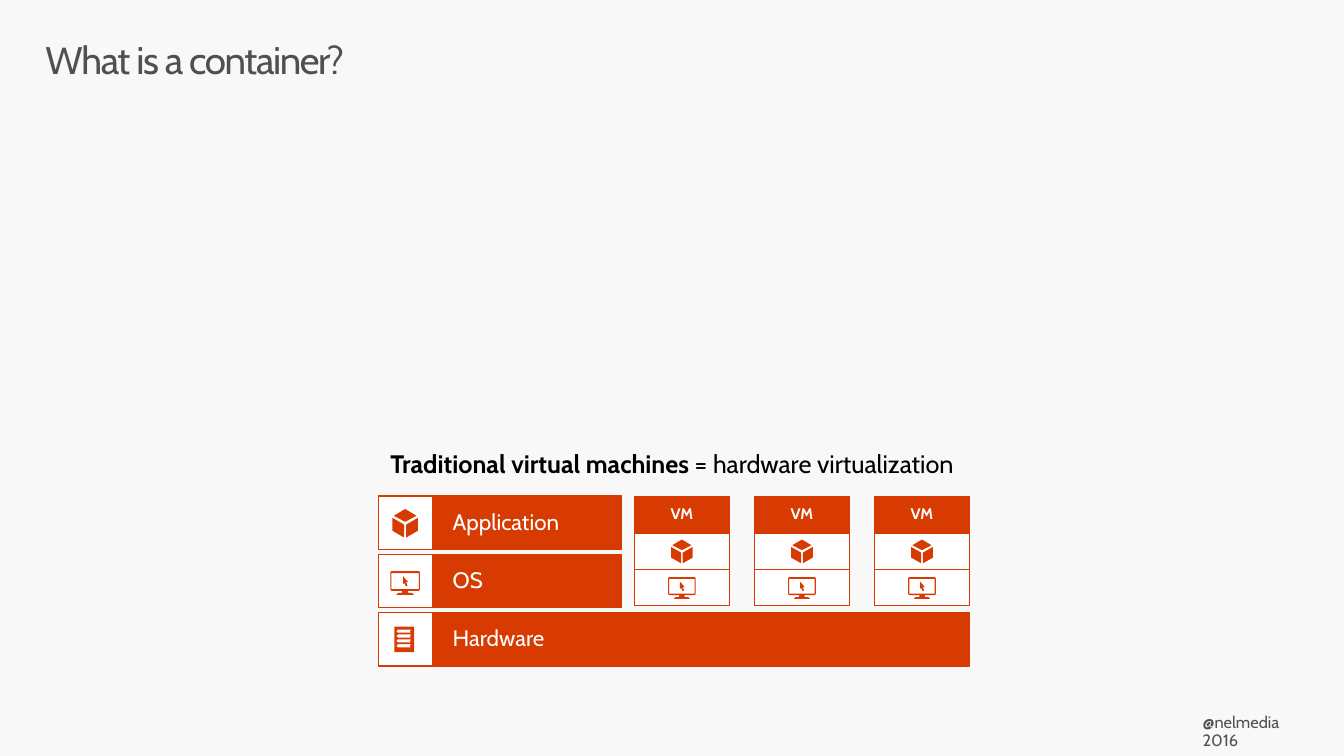
from pptx import Presentation
from pptx.dml.color import RGBColor
from pptx.enum.shapes import MSO_SHAPE
from pptx.enum.text import MSO_ANCHOR, MSO_AUTO_SIZE, PP_ALIGN
from pptx.util import Inches, Pt

RECTANGLE, ELLIPSE = MSO_SHAPE.RECTANGLE, MSO_SHAPE.OVAL
TOP, MIDDLE = MSO_ANCHOR.TOP, MSO_ANCHOR.MIDDLE
LEFT, CENTER = PP_ALIGN.LEFT, PP_ALIGN.CENTER
NO_AUTOFIT = MSO_AUTO_SIZE.NONE

WIDTH, HEIGHT = 13.6, 7.65
FONT = "Cabin"
COLORS = {
    "background": "F8F8F8",
    "accent": "D83B01",
    "white": "FFFFFF",
    "gray": "505050",
    "black": "000000",
}

CUBE_FACES = [
    [(0.46, 0.55), (0.46, 1), (0, 0.76), (0, 0.31)],
    [(0.54, 0.55), (0.54, 1), (1, 0.76), (1, 0.31)],
    [(0.5, 0.45), (0.06, 0.24), (0.5, 0), (0.94, 0.24)],
]
MONITOR_HALF = [(0.97, 0), (1, 0.06), (1, 0.77), (0.96, 0.83), (0.6, 0.83),
                (0.6, 0.92), (0.73, 0.92), (0.8, 1)]
MONITOR = MONITOR_HALF + [(1 - x, y) for x, y in reversed(MONITOR_HALF)]
SCREEN = [(0.04, 0.08), (0.96, 0.08), (0.96, 0.76), (0.04, 0.76)]
CURSOR = [(0.43, 0.21), (0.6, 0.46), (0.53, 0.46), (0.58, 0.62),
          (0.52, 0.64), (0.48, 0.5), (0.43, 0.54)]
SERVER = [(0, 0), (1, 0), (1, 1), (0, 1)]
SLOT = [(0.18, 0), (0.82, 0), (0.9, 0.06), (0.82, 0.12), (0.18, 0.12), (0.1, 0.06)]
SLOT_TOPS = [0.12 + 0.19 * row for row in range(4)]


def color(name):
    return RGBColor.from_string(COLORS[name])


def add_block(shapes, box, fill, outlined=True, kind=RECTANGLE):
    shape = shapes.add_shape(kind, *map(Inches, box))
    shape.shadow.inherit = False
    shape.fill.solid()
    shape.fill.fore_color.rgb = color(fill)
    if outlined:
        shape.line.color.rgb = color("accent")
        shape.line.width = Pt(0.85)
    else:
        shape.line.fill.background()
    return shape


def write(shape, texts, size, ink, margins, align=LEFT, anchor=TOP, bold=None):
    frame = shape.text_frame
    frame.word_wrap = True
    frame.auto_size = NO_AUTOFIT
    frame.vertical_anchor = anchor
    frame.margin_left = frame.margin_right = Inches(margins[0])
    frame.margin_top = frame.margin_bottom = Inches(margins[1])
    paragraph = frame.paragraphs[0]
    paragraph.alignment = align
    paragraph.line_spacing = 0.9
    for text in texts:
        paragraph.add_run().text = text
    font = paragraph.font
    font.name, font.size, font.bold = FONT, Pt(size), bold
    font.color.rgb = color(ink)
    return paragraph


def add_outline(shapes, box, contours):
    left, top, width, height = box
    placed = [[(Inches(left + x * width), Inches(top + y * height)) for x, y in contour]
              for contour in contours]
    builder = shapes.build_freeform(*placed[0][0], scale=1.0)
    builder.add_line_segments(placed[0][1:], close=True)
    for contour in placed[1:]:
        builder.move_to(*contour[0])
        builder.add_line_segments(contour[1:], close=True)
    shape = builder.convert_to_shape()
    shape.shadow.inherit = False
    shape.fill.solid()
    shape.fill.fore_color.rgb = color("accent")
    shape.line.fill.background()


def add_cube(shapes, box):
    for face in CUBE_FACES:
        add_outline(shapes, box, [face])


def add_monitor(shapes, box):
    add_outline(shapes, box, [MONITOR, SCREEN])
    add_outline(shapes, box, [CURSOR])


def add_server(shapes, box):
    left, top, width, height = box
    slots = [[(x, y + slot_top) for x, y in SLOT] for slot_top in SLOT_TOPS]
    add_outline(shapes, box, [SERVER] + slots)
    for slot_top in SLOT_TOPS:
        light = (left + 0.8 * width, top + (slot_top + 0.03) * height, 0.02, 0.02)
        add_block(shapes, light, "accent", False, ELLIPSE)


def add_layer(slide, box, label, add_icon, icon_box):
    left, top, width, height = box
    tile = 0.55
    bar = add_block(slide.shapes, (left + tile, top, width - tile, height), "accent")
    write(bar, [label], 16.3, "white", (0.2, 0.16), anchor=MIDDLE)
    shapes = slide.shapes.add_group_shape().shapes
    add_block(shapes, (left, top, tile, height), "white")
    x, y, icon_width, icon_height = icon_box
    add_icon(shapes, (left + x, top + y, icon_width, icon_height))


def add_virtual_machine(slide, box):
    left, top, width, height = box
    header = 0.38
    row = (height - header) / 2
    middle = left + width / 2
    shapes = slide.shapes.add_group_shape().shapes
    for index in range(2):
        add_block(shapes, (left, top + header + index * row, width, row), "white")
    add_cube(shapes, (middle - 0.11, top + 0.44, 0.22, 0.24))
    add_monitor(shapes, (middle - 0.14, top + 0.82, 0.28, 0.22))
    title = add_block(shapes, (left, top, width, header), "accent")
    write(title, ["VM"], 11.2, "white", (0.05, 0.05), CENTER, MIDDLE, True)


def add_stack(slide, box):
    left, top, width, height = box
    pitch, layer_height = 0.59, 0.54
    machine_width, machine_pitch = 0.96, 1.215
    layers = [
        ("Application", 2.46, add_cube, (0.14, 0.13, 0.26, 0.29)),
        ("OS", 2.46, add_monitor, (0.12, 0.17, 0.3, 0.24)),
        ("Hardware", width, add_server, (0.16, 0.14, 0.2, 0.26)),
    ]
    for index, (label, layer_width, add_icon, icon_box) in enumerate(layers):
        layer = (left, top + index * pitch, layer_width, layer_height)
        add_layer(slide, layer, label, add_icon, icon_box)
    first = left + width - machine_width - 2 * machine_pitch
    for index in range(3):
        machine = (first + index * machine_pitch, top, machine_width, height - 0.61)
        add_virtual_machine(slide, machine)


def add_title(slide, box):
    title = slide.shapes.title
    title.left, title.top, title.width, title.height = map(Inches, box)
    paragraph = write(title, ["What is a container?"], 28, "gray", (0.16, 0.1))
    paragraph.runs[0].font._element.set("spc", "-100")


def add_caption(slide, box):
    caption = slide.shapes.add_textbox(*map(Inches, box))
    texts = ["Traditional virtual machines ", "= hardware virtualization"]
    paragraph = write(caption, texts, 18.4, "black", (0.2, 0), CENTER)
    paragraph.runs[0].font.bold = True


def add_handle(slide, box):
    handle = slide.shapes.add_textbox(*map(Inches, box))
    write(handle, ["@nelmedia 2016"], 12, "gray", (0.2, 0.16))


def main():
    presentation = Presentation()
    presentation.slide_width, presentation.slide_height = Inches(WIDTH), Inches(HEIGHT)
    slide = presentation.slides.add_slide(presentation.slide_layouts[5])
    slide.background.fill.solid()
    slide.background.fill.fore_color.rgb = color("background")
    add_handle(slide, (11.97, 7.07, 1.4, 0.58))
    add_title(slide, (0.3, 0.32, 13, 1))
    add_caption(slide, (0, 4.57, WIDTH, 0.44))
    add_stack(slide, (3.83, 5.02, 5.98, 1.72))
    presentation.save("out.pptx")


if __name__ == "__main__":
    main()
